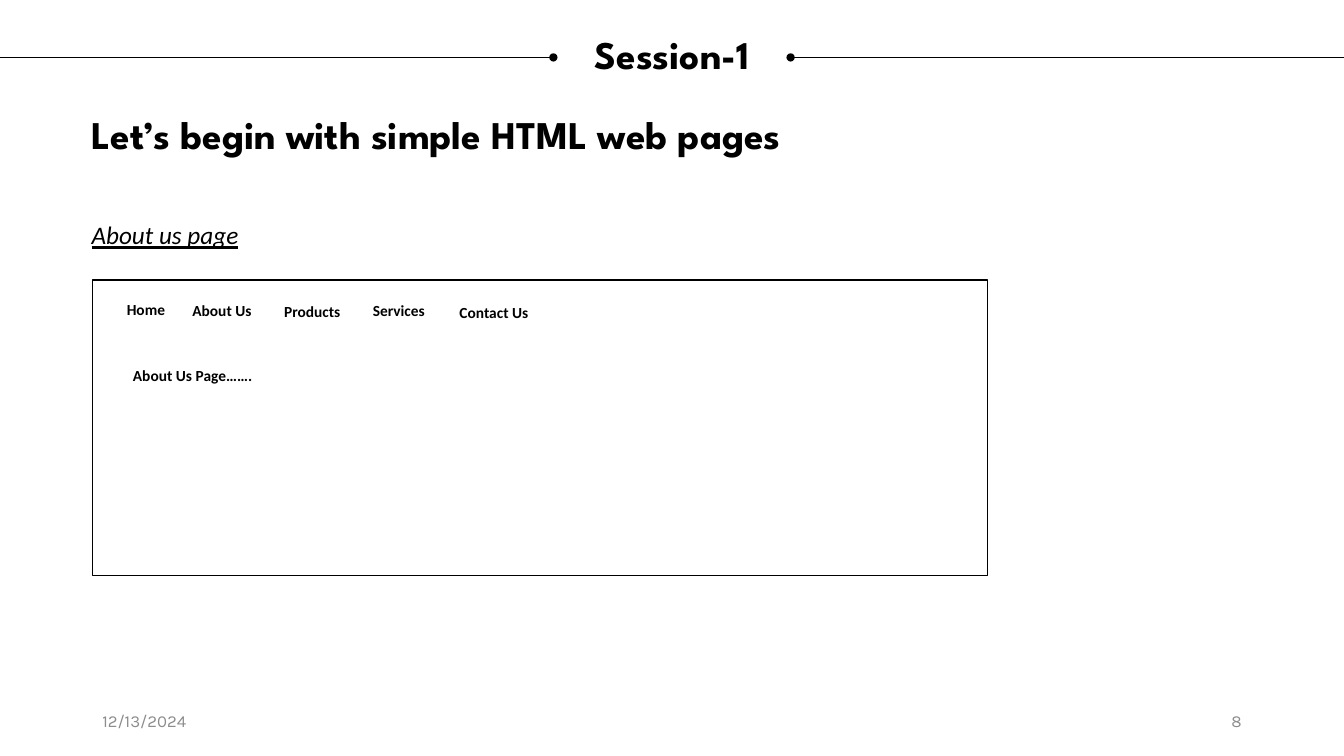
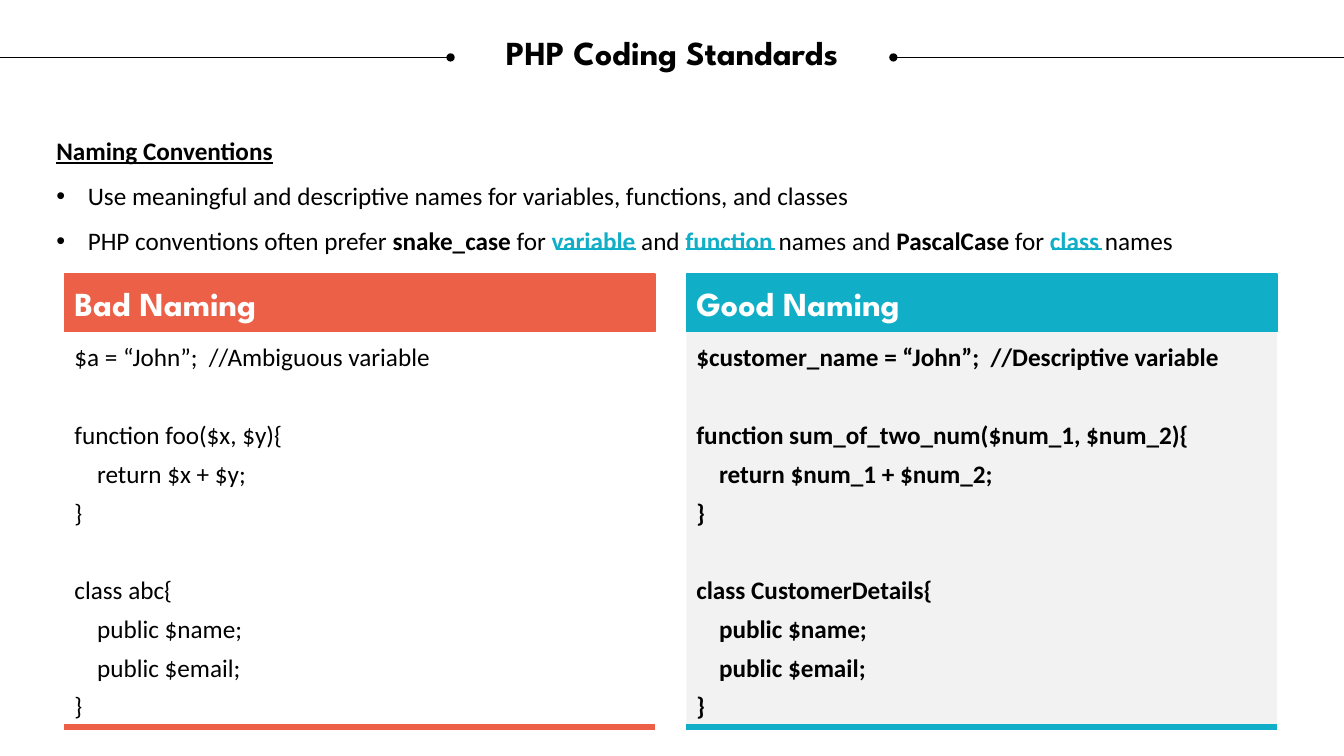
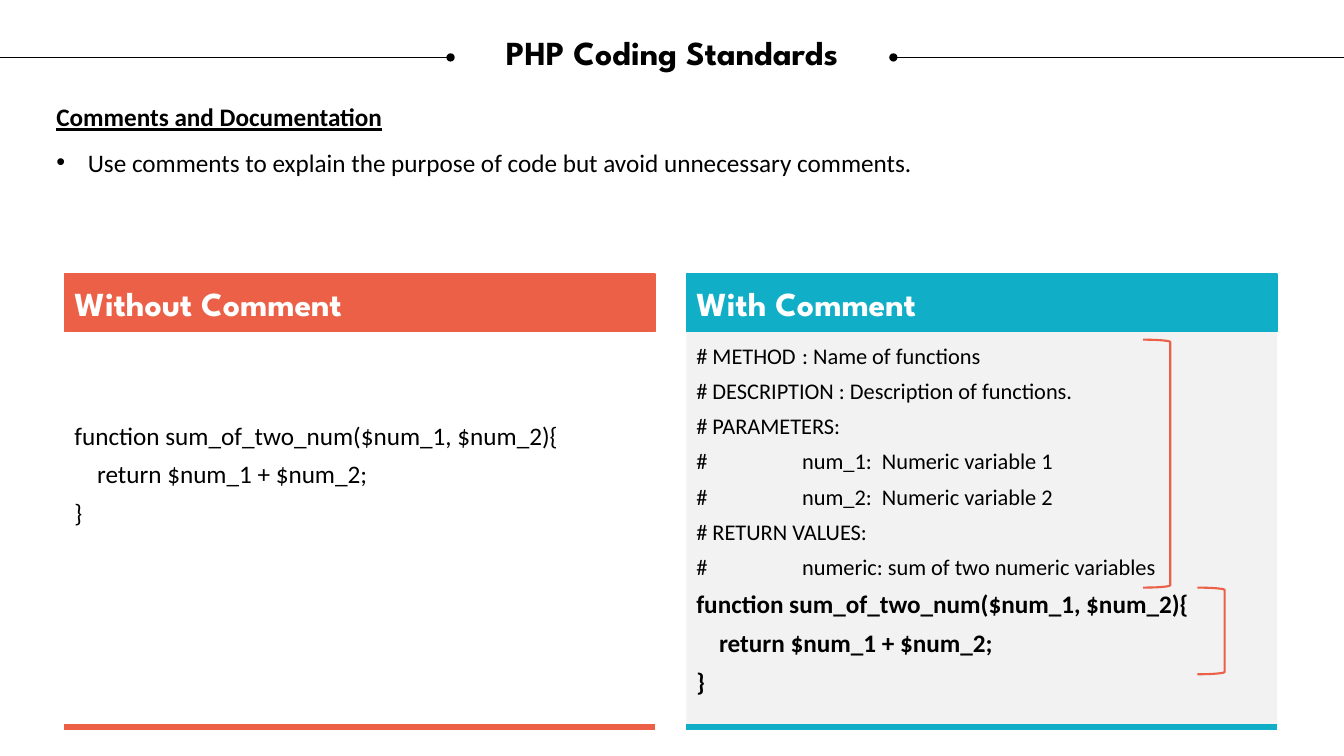
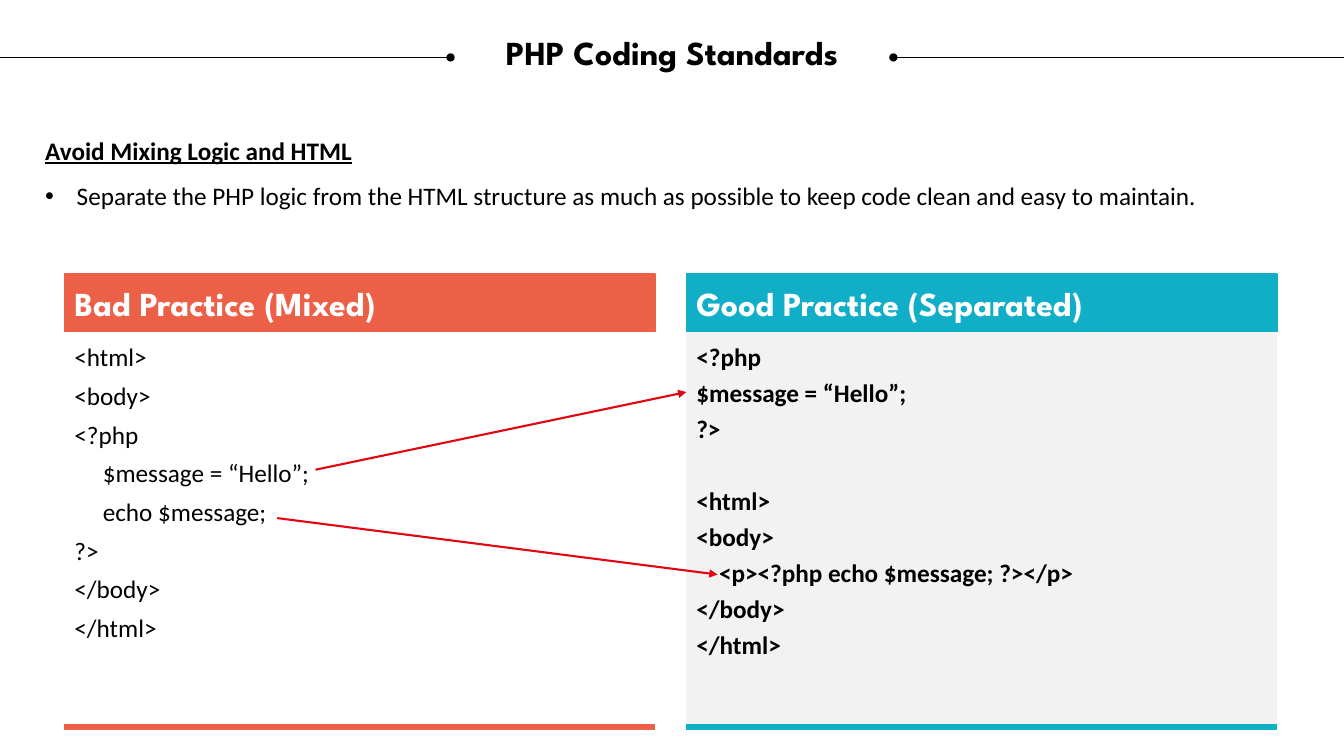
import pptx
import pptx.dml.color
import pptx.enum.shapes
import pptx.enum.text
import pptx.oxml
import pptx.oxml.ns
import pptx.util

SHAPES = pptx.enum.shapes.MSO_SHAPE
ALIGN = pptx.enum.text.PP_ALIGN
ANCHOR = pptx.enum.text.MSO_ANCHOR

COLUMNS, ROWS = 160, 90
CELL = pptx.util.Inches(7.5) / ROWS

BLACK, WHITE, GREY, PALE = "000000", "FFFFFF", "8C8C8C", "F2F2F2"
CORAL, TEAL, RED = "EB6047", "11AEC7", "E20613"
HEADING_FONT, BODY_FONT, FOOTER_FONT = "League Spartan", "Calibri", "Karla"

CODE_SIZE, COMMENT_SIZE, CODE_LINE = 18, 16, 22
CODE_TAB = 12.6
BULLET_INDENT = 3.75
FOOTER_MARGIN = 11
PANEL_LEFT, PANEL_STEP, PANEL_WIDTH = 7.68, 74.04, 70.32
PANEL_TOP, PANEL_HEADER, PANEL_BOTTOM = 32.64, 6.84, 86.52


def cells(count):
    """Turn a number of grid cells into a length."""
    return pptx.util.Emu(round(count * CELL))


def colour(value):
    return pptx.dml.color.RGBColor.from_string(value)


def add_xml(parent, tag, **attributes):
    element = pptx.oxml.parse_xml(f"<a:{tag} {pptx.oxml.ns.nsdecls('a')}/>")
    for name, value in attributes.items():
        element.set(name, str(value))
    parent.append(element)
    return element


class Deck:
    """Holds the presentation, its style and the slide being filled."""

    def __init__(self):
        self.presentation = pptx.Presentation()
        self.presentation.slide_width = cells(COLUMNS)
        self.presentation.slide_height = cells(ROWS)
        self.slide = None

    def start(self, title, size, top, reach):
        """Add a slide whose title stands between two rules of length reach."""
        layout = self.presentation.slide_layouts[6]
        self.slide = self.presentation.slides.add_slide(layout)
        for edge, end in ((0, reach), (COLUMNS, COLUMNS - reach)):
            self.line(edge, 6.84, end, 6.84, BLACK, 0.5, "oval")
        self.text(title, 3, top, COLUMNS - 6, 4.32, size, HEADING_FONT, bold=True,
                  align=ALIGN.CENTER, spacing=0.9, inset=0)

    def line(self, left, top, right, bottom, shade, width, end=None):
        connector = self.slide.shapes.add_connector(
            pptx.enum.shapes.MSO_CONNECTOR.STRAIGHT,
            cells(left), cells(top), cells(right), cells(bottom))
        connector.line.color.rgb = colour(shade)
        connector.line.width = pptx.util.Pt(width)
        properties = connector._element.spPr
        if end:
            add_xml(properties.get_or_add_ln(), "tailEnd", type=end)
        add_xml(properties, "effectLst")

    def shape(self, kind, left, top, width, height, fill=None, outline=None, weight=1):
        shape = self.slide.shapes.add_shape(
            kind, cells(left), cells(top), cells(width), cells(height))
        shape.shadow.inherit = False
        if fill:
            shape.fill.solid()
            shape.fill.fore_color.rgb = colour(fill)
        else:
            shape.fill.background()
        if outline:
            shape.line.color.rgb = colour(outline)
            shape.line.width = pptx.util.Pt(weight)
        else:
            shape.line.fill.background()
        return shape

    def box(self, left, top, width, height):
        return self.slide.shapes.add_textbox(
            cells(left), cells(top), cells(width), cells(height))

    def frame(self, shape, inset=None, anchor=ANCHOR.TOP):
        frame = shape.text_frame
        frame.word_wrap = True
        frame.vertical_anchor = anchor
        if inset is not None:
            frame.margin_left = frame.margin_right = cells(inset)
            frame.margin_top = frame.margin_bottom = cells(inset)
        return frame

    def font(self, font, size, name=BODY_FONT, shade=BLACK, bold=False):
        font.size = pptx.util.Pt(size)
        font.name = name
        font.bold = bold
        font.color.rgb = colour(shade)

    def fill_text(self, shape, text, size, name=BODY_FONT, shade=BLACK, bold=False,
                  align=ALIGN.LEFT, spacing=1.0, inset=None, anchor=ANCHOR.TOP):
        """Put one paragraph into a shape and return it."""
        paragraph = self.frame(shape, inset, anchor).paragraphs[0]
        paragraph.text = text
        paragraph.alignment = align
        paragraph.line_spacing = spacing
        self.font(paragraph.font, size, name, shade, bold)
        return paragraph

    def text(self, text, left, top, width, height, size, name=BODY_FONT, **style):
        box = self.box(left, top, width, height)
        return self.fill_text(box, text, size, name, **style)

    def footer(self, date, number):
        width = 36
        right = COLUMNS - FOOTER_MARGIN - width
        for text, left, align in ((date, FOOTER_MARGIN, ALIGN.LEFT),
                                  (number, right, ALIGN.RIGHT)):
            self.text(text, left, 83.4, width, 4.8, 12, FOOTER_FONT, shade=GREY,
                      align=align, anchor=ANCHOR.MIDDLE)

    def label(self, text, left, top, width, height):
        shape = self.shape(SHAPES.RECTANGLE, left, top, width, height, WHITE)
        self.fill_text(shape, text, 11, bold=True, spacing=1.07)

    def topic(self, heading, bullets, left=5.52, top=13.68):
        """Add an underlined heading and bullets; a bullet is a list of (text, style)."""
        box = self.box(left, top, 145.32, 5.6 * (1 + len(bullets)))
        self.fill_text(box, heading, 18, bold=True, spacing=1.5).font.underline = True
        for runs in bullets:
            paragraph = box.text_frame.add_paragraph()
            paragraph.line_spacing = 1.5
            properties = paragraph._p.get_or_add_pPr()
            properties.set("marL", str(cells(BULLET_INDENT)))
            properties.set("indent", str(-cells(BULLET_INDENT)))
            add_xml(properties, "buFont", typeface="Arial")
            add_xml(properties, "buChar", char="•")
            self.font(paragraph.font, 18)
            for text, style in runs:
                run = paragraph.add_run()
                run.text = text
                self.font(run.font, 18, bold=style != "plain",
                          shade=TEAL if style == "teal" else BLACK)

    def panel(self, index, heading, code, space=6):
        """Draw the left (0) or right (1) code panel."""
        left = PANEL_LEFT + index * PANEL_STEP
        accent, fill = ((CORAL, WHITE), (TEAL, PALE))[index]
        body_top = PANEL_TOP + PANEL_HEADER
        body = self.shape(SHAPES.RECTANGLE, left, body_top, PANEL_WIDTH,
                          PANEL_BOTTOM - body_top, fill)
        self.code(body, code, space, bold=index == 1)
        header = self.shape(SHAPES.RECTANGLE, left, PANEL_TOP, PANEL_WIDTH,
                            PANEL_HEADER, accent, accent)
        self.fill_text(header, heading, 24, HEADING_FONT, WHITE, bold=True, inset=1.2,
                       anchor=ANCHOR.MIDDLE)
        self.line(left, PANEL_BOTTOM, left + PANEL_WIDTH, PANEL_BOTTOM, accent, 4.5)

    def code(self, shape, code, space, bold):
        """Add code lines; an empty line becomes room above the next one."""
        frame = self.frame(shape, 1.2)
        paragraph, room = None, 0
        for line in code.splitlines():
            if not line:
                room += CODE_LINE + space
                continue
            if paragraph is None:
                paragraph = frame.paragraphs[0]
                frame.margin_top += pptx.util.Pt(room)
            else:
                paragraph = frame.add_paragraph()
                paragraph.space_before = pptx.util.Pt(space + room)
            room = 0
            paragraph.text = line
            paragraph.alignment = ALIGN.LEFT
            if "\t" in line:
                tabs = add_xml(paragraph._p.get_or_add_pPr(), "tabLst")
                add_xml(tabs, "tab", pos=cells(CODE_TAB), algn="l")
            comment = line.startswith("#")
            self.font(paragraph.font, COMMENT_SIZE if comment else CODE_SIZE,
                      bold=bold and not comment)


BAD_NAMES = """\
$a = “John”;  //Ambiguous variable

function foo($x, $y){
    return $x + $y;
}

class abc{
    public $name;
    public $email;
}"""

SUM_FUNCTION = """\
function sum_of_two_num($num_1, $num_2){
    return $num_1 + $num_2;
}"""

GOOD_NAMES = f"""\
$customer_name = “John”;  //Descriptive variable

{SUM_FUNCTION}

class CustomerDetails{{
    public $name;
    public $email;
}}"""

COMMENTED = f"""\
# METHOD \t: Name of functions
# DESCRIPTION : Description of functions.
# PARAMETERS:
#\tnum_1:  Numeric variable 1
#\tnum_2:  Numeric variable 2
# RETURN VALUES:
#\tnumeric: sum of two numeric variables
{SUM_FUNCTION}"""

MIXED = """\
<html>
<body>
<?php
     $message = “Hello”;
     echo $message;
?>
</body>
</html>"""

SEPARATED = """\
<?php
$message = “Hello”;
?>

<html>
<body>
    <p><?php echo $message; ?></p>
</body>
</html>"""


def about_page(deck):
    deck.start("Session-1", 28, 4.2, 65.88)
    deck.text("Let’s begin with simple HTML web pages", 9.72, 9.72, 133, 8.64, 28,
              HEADING_FONT, bold=True, spacing=1.5)
    deck.footer("12/13/2024", "8")
    deck.shape(SHAPES.RECTANGLE, 11, 33.36, 106.6, 35.16, WHITE, BLACK)
    for label in (("Home", 13.92, 35.04, 9.24, 4.44),
                  ("About Us", 21.72, 35.16, 12.36, 3.84),
                  ("Products", 32.64, 35.28, 12.48, 5.88),
                  ("Services", 43.2, 35.16, 12.36, 3.84),
                  ("Contact Us", 53.52, 35.4, 14.04, 4.56),
                  ("About Us Page…….", 14.64, 42.84, 40.68, 6.6)):
        deck.label(*label)
    caption = deck.text("About us page", 9.72, 25.32, 80, 4.92, 18, spacing=1.07)
    caption.font.italic = True
    caption.font.underline = True


def standards(deck):
    deck.start("PHP Coding Standards", 24, 4.32, 53.64)


def naming(deck):
    standards(deck)
    deck.panel(0, "Bad Naming", BAD_NAMES)
    deck.topic("Naming Conventions", [
        [("Use meaningful and descriptive names for variables, functions, and classes",
          "plain")],
        [("PHP conventions often prefer ", "plain"), ("snake_case", "bold"),
         (" for ", "plain"), ("variable", "teal"), (" and ", "plain"),
         ("function ", "teal"), ("names and ", "plain"), ("PascalCase", "bold"),
         (" for ", "plain"), ("class", "teal"), (" names", "plain")],
    ])
    for left, right in ((66.24, 75.72), (81.72, 92.28), (125.28, 131.16)):
        deck.line(left, 29.64, right, 29.64, TEAL, 1.5)
    deck.panel(1, "Good Naming", GOOD_NAMES)


def comments(deck):
    standards(deck)
    deck.panel(0, "Without Comment", "\n\n" + SUM_FUNCTION)
    deck.topic("Comments and Documentation", [
        [("Use comments to explain the purpose of code but avoid unnecessary comments.",
          "plain")],
    ], top=9.72)
    deck.panel(1, "With Comment", COMMENTED)
    for left, top, height in ((136.08, 40.44, 29.52), (142.56, 69.96, 10.32)):
        deck.shape(SHAPES.RIGHT_BRACKET, left, top, 3.24, height,
                   outline=CORAL, weight=1.5)


def separation(deck):
    standards(deck)
    deck.panel(0, "Bad Practice (Mixed)", MIXED)
    deck.topic("Avoid Mixing Logic and HTML", [
        [("Separate the PHP logic from the HTML structure as much as possible "
          "to keep code clean and easy to maintain.", "plain")],
    ], left=4.2)
    deck.panel(1, "Good Practice (Separated)", SEPARATED, space=4)
    for ends in ((37.56, 55.92, 81.72, 46.68), (33, 61.68, 85.44, 68.4)):
        deck.line(*ends, RED, 1.5, "triangle")


def main():
    deck = Deck()
    for build in (about_page, naming, comments, separation):
        build(deck)
    deck.presentation.save("out.pptx")


if __name__ == "__main__":
    main()
